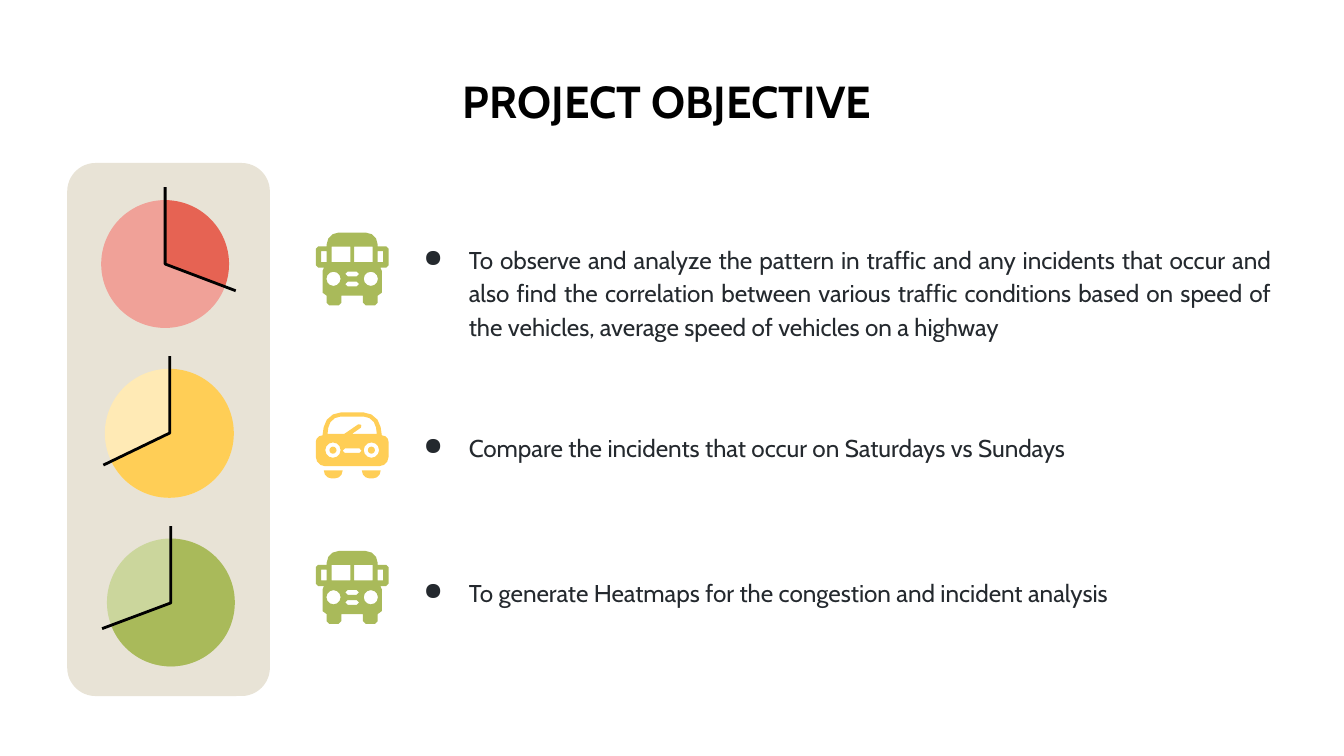
import math

import lxml.etree
import pptx
import pptx.dml.color
import pptx.enum.shapes
import pptx.enum.text
import pptx.oxml.ns
import pptx.util

Pt = pptx.util.Pt
SHAPES = pptx.enum.shapes.MSO_SHAPE
ALIGN = pptx.enum.text.PP_ALIGN
ANCHOR = pptx.enum.text.MSO_ANCHOR

COLORS = {
    "panel": "E8E3D6", "black": "000000", "text": "24292E",
    "red": "E66353", "light red": "F0A198",
    "yellow": "FFCE56", "light yellow": "FFEAB5",
    "green": "A9BA5A", "light green": "CBD69C",
}
ICON_LEFT, ICON_WIDTH = 169.2, 39


def rounded(corners):
    """Turn (x, y, radius) corners into a closed outline of distinct points."""
    points = []
    for index, (x, y, radius) in enumerate(corners):
        if not radius:
            points.append((x, y))
            continue
        ends = []
        for other in (corners[index - 1], corners[(index + 1) % len(corners)]):
            share = radius / math.hypot(other[0] - x, other[1] - y)
            ends.append((x + (other[0] - x) * share, y + (other[1] - y) * share))
        steps = 3 if radius > 1.5 else 1
        for step in range(steps + 1):
            t = step / steps
            weights = ((1 - t) ** 3 + 1.35 * t * (1 - t) ** 2,
                       1.65 * t * (1 - t), t ** 3 + 1.35 * t * t * (1 - t))
            points.append(tuple(
                round(weights[0] * start + weights[1] * corner
                      + weights[2] * end, 2)
                for start, corner, end in zip(ends[0], (x, y), ends[1])))
    return list(dict.fromkeys(points))


def box(left, top, right, bottom, radius=0):
    return [(left, top, radius), (right, top, radius),
            (right, bottom, radius), (left, bottom, radius)]


def circle(x, y, radius):
    return box(x - radius, y - radius, x + radius, y + radius, radius)


def mirror(corners):
    return [(ICON_WIDTH - x, y, radius) for x, y, radius in reversed(corners)]


def pair(corners):
    return [corners, mirror(corners)]


BUS_HALF = [
    (5.8, 0, 6.5), (5.8, 7.4, 0), (0, 7.4, 1.3), (0, 18.8, 1.3),
    (4.4, 18.8, 0), (3.6, 20.6, 0), (3.6, 32.2, 0), (5.8, 33.8, 0),
    (5.8, 39, 1.4), (13.7, 39, 1.4), (13.7, 33.8, 0),
]
BUS = [[
    BUS_HALF + mirror(BUS_HALF),
    *pair(box(2.9, 10, 5.8, 15.8)),
    *pair(box(8.5, 7.5, 18.5, 15.8)),
    *pair(circle(9.5, 24.8, 3.8)),
    box(15.8, 20.9, 23.2, 23.5, 1.3),
    box(15.8, 26.3, 23.2, 28.9, 1.3),
]]

CAR_HALF = [(5.4, 0, 8), (3.6, 12.3, 0), (0, 12.3, 3.5), (0, 28.8, 5)]
WINDSHIELD_AND_WIPER = [
    (7.4, 2.2, 6), (6.3, 11.5, 0), (15.3, 11.5, 0), (23.6, 5.8, 1),
    (25, 7.6, 1), (19.4, 11.5, 0), (32.7, 11.5, 0), (31.6, 2.2, 6),
]
CAR_BODY = [
    CAR_HALF + mirror(CAR_HALF),
    WINDSHIELD_AND_WIPER,
    *pair(circle(9.2, 20.2, 4.1)),
    box(14.4, 19.3, 24.6, 21.7, 1.2),
]
LAMPS = pair(circle(9.2, 20.2, 1.9))
WHEELS = pair([(4.3, 31, 0), (14.3, 31, 0), (14.3, 35.3, 4), (4.3, 35.3, 4)])
CAR = [CAR_BODY] + [[part] for part in LAMPS + WHEELS]


class SlideBuilder:
    def __init__(self, presentation):
        self.slide = presentation.slides.add_slide(presentation.slide_layouts[6])
        self.font = "Cabin"

    def color(self, name):
        return pptx.dml.color.RGBColor.from_string(COLORS[name])

    def paint(self, shape, color):
        shape.shadow.inherit = False
        shape.fill.solid()
        shape.fill.fore_color.rgb = self.color(color)
        shape.line.fill.background()

    def preset(self, kind, left, top, width, height, color, adjustments):
        shape = self.slide.shapes.add_shape(
            kind, Pt(left), Pt(top), Pt(width), Pt(height))
        for index, value in enumerate(adjustments):
            shape.adjustments[index] = value
        self.paint(shape, color)

    def pie(self, left, top, size, color, start, end):
        """Draw a sector clockwise between two angles in degrees."""
        self.preset(SHAPES.PIE, left, top, size, size, color,
                    (start * 0.6, end * 0.6))

    def outline(self, contours, closed=True):
        builder = None
        for contour in contours:
            points = [(Pt(x), Pt(y)) for x, y in contour]
            if builder is None:
                builder = self.slide.shapes.build_freeform(*points[0], scale=1.0)
            else:
                builder.move_to(*points[0])
            builder.add_line_segments(points[1:], close=closed)
        return builder.convert_to_shape()

    def hands(self, points):
        shape = self.outline([points], closed=False)
        shape.shadow.inherit = False
        shape.fill.background()
        shape.line.color.rgb = self.color("black")
        shape.line.width = Pt(1.5)

    def icon(self, parts, top, color):
        for contours in parts:
            placed = [[(x + ICON_LEFT, y + top) for x, y in rounded(contour)]
                      for contour in contours]
            self.paint(self.outline(placed), color)

    def text(self, words, left, top, width, height, size, color,
             align, anchor, bold=False):
        shape = self.slide.shapes.add_textbox(
            Pt(left), Pt(top), Pt(width), Pt(height))
        frame = shape.text_frame
        frame.word_wrap = True
        frame.vertical_anchor = anchor
        frame.margin_left = frame.margin_right = Pt(7.2)
        frame.margin_top = frame.margin_bottom = Pt(7.2)
        paragraph = frame.paragraphs[0]
        paragraph.alignment = align
        run = paragraph.add_run()
        run.text = words
        run.font.name = self.font
        run.font.size = Pt(size)
        run.font.bold = bold
        run.font.color.rgb = self.color(color)
        return paragraph

    def bullet(self, words, top, width, height):
        paragraph = self.text(words, 208.1, top, width, height, 13, "text",
                              ALIGN.JUSTIFY, ANCHOR.MIDDLE)
        paragraph.line_spacing = 1.15
        properties = paragraph._p.get_or_add_pPr()
        properties.set("marL", str(Pt(36)))
        properties.set("indent", str(Pt(-24.25)))
        qn = pptx.oxml.ns.qn
        bullet_color = lxml.etree.SubElement(properties, qn("a:buClr"))
        lxml.etree.SubElement(bullet_color, qn("a:srgbClr"), val=COLORS["text"])
        lxml.etree.SubElement(properties, qn("a:buChar"), char="●")


def main():
    presentation = pptx.Presentation()
    presentation.slide_width, presentation.slide_height = Pt(720), Pt(405)
    builder = SlideBuilder(presentation)

    builder.text("PROJECT OBJECTIVE ", 36, 32.4, 648, 31.7, 24, "black",
                 ALIGN.CENTER, ANCHOR.TOP, bold=True)
    builder.preset(SHAPES.ROUNDED_RECTANGLE, 36, 87.3, 108.6, 285.6,
                   "panel", (0.14,))

    clocks = [
        ("red", 54.2, 107.2, 68.5, 19.9,
         [(88.5, 100.3), (88.5, 141.5), (126.3, 155.8)]),
        ("yellow", 56.2, 197.6, 69.1, 153.7,
         [(91, 190.8), (91, 232), (55.4, 249.2)]),
        ("green", 57.3, 288.5, 68.5, 159.1,
         [(91.5, 281.9), (91.5, 323), (54.7, 336.8)]),
    ]
    for color, left, top, size, end, points in clocks:
        builder.pie(left, top, size, "light " + color, 19.7, 270)
        builder.pie(left, top, size, color, 269.7, end)
        builder.hands(points)

    objectives = [
        ("To observe and analyze the pattern in traffic and any incidents that "
         "occur and also find the correlation between various traffic conditions "
         "based on speed of the vehicles, average speed of vehicles on a highway",
         124.6, 479.5, 62.6, BUS, 124.6, "green"),
        ("Compare the incidents that occur on Saturdays vs Sundays",
         221.8, 475.9, 33.8, CAR, 221, "yellow"),
        ("To generate Heatmaps for the congestion and incident analysis",
         298.8, 475.9, 35.3, BUS, 295.2, "green"),
    ]
    for words, top, width, height, icon, icon_top, color in objectives:
        builder.bullet(words, top, width, height)
        builder.icon(icon, icon_top, color)

    presentation.save("out.pptx")


if __name__ == "__main__":
    main()
